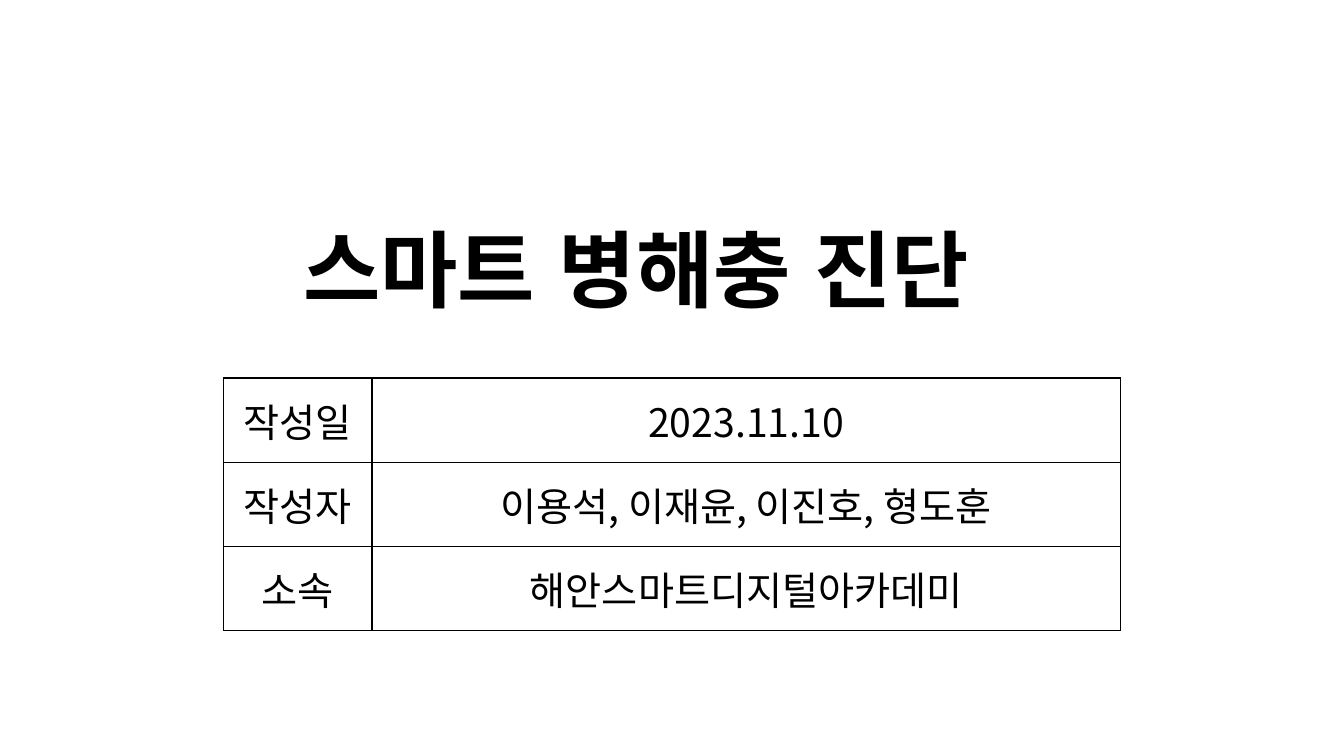
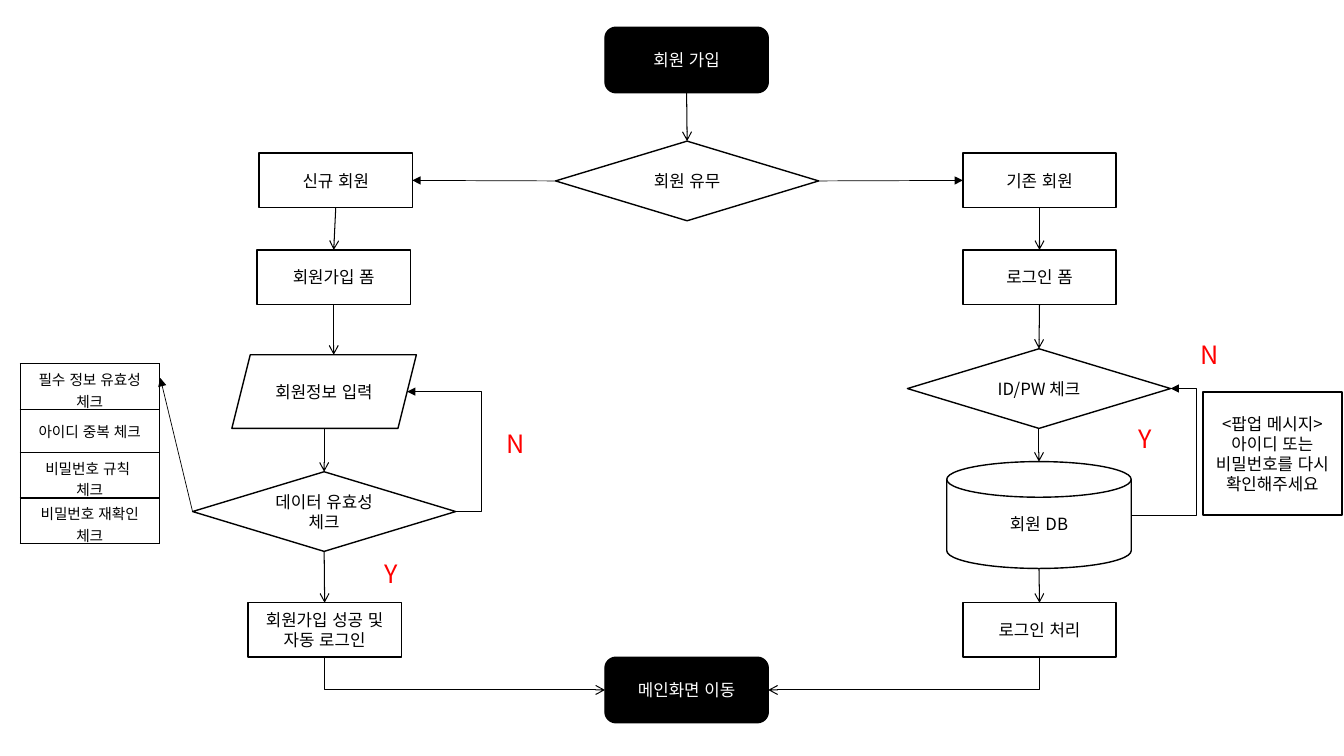
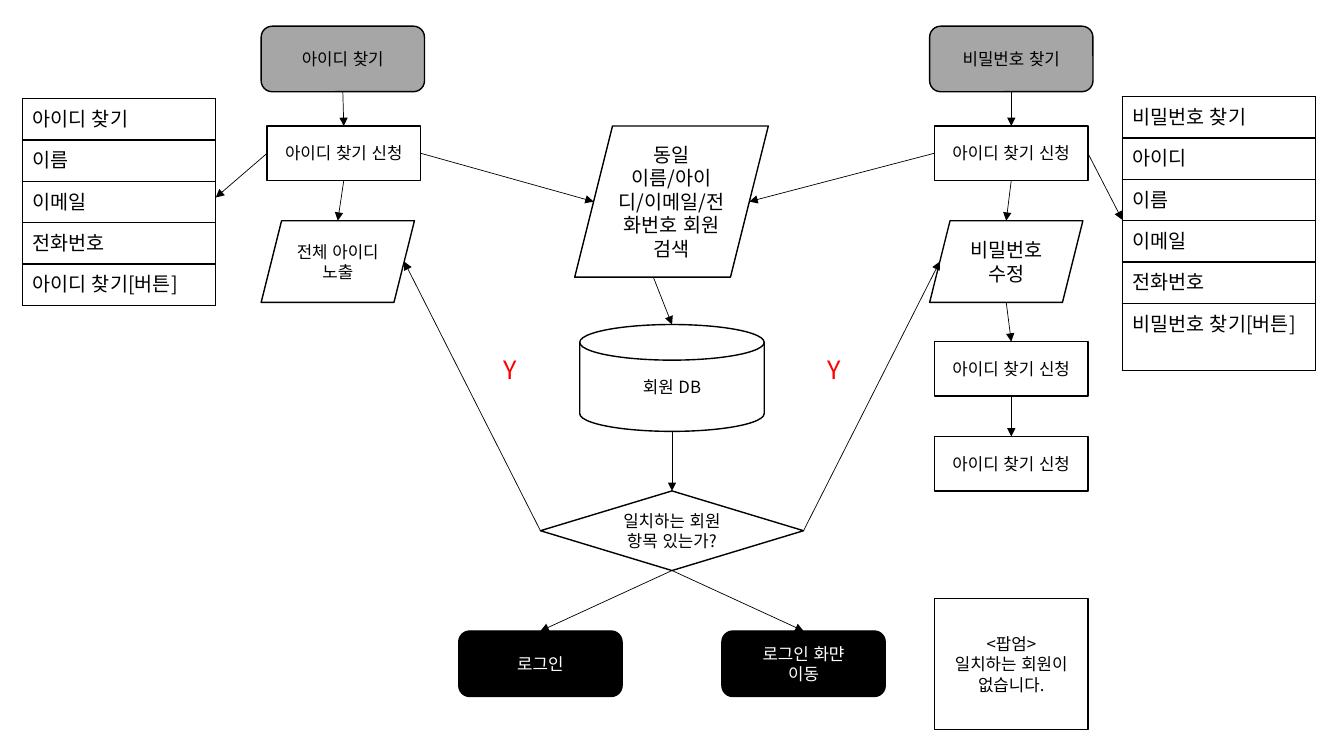
from lxml import etree
from pptx import Presentation, util as u
from pptx.dml.color import RGBColor
from pptx.enum import dml, lang, shapes, text
from pptx.oxml.ns import qn

# Shared style: 100 px to the inch
PX = 9144
FONT = "Noto Sans CJK KR"
BLACK = RGBColor(0, 0, 0)
WHITE = RGBColor(255, 255, 255)
GREY = RGBColor(0xA6, 0xA6, 0xA6)
RED = RGBColor(255, 0, 0)
KIND = shapes.MSO_SHAPE
CENTER = text.PP_ALIGN.CENTER
LEFT = text.PP_ALIGN.LEFT
SIDES = ["top", "left", "bottom", "right"]

# style: (preset, width, height, fill, text colour, outlined)
STYLES = {
    "end": (KIND.ROUNDED_RECTANGLE, 162, 65, BLACK, WHITE, True),
    "start": (KIND.ROUNDED_RECTANGLE, 162, 65, GREY, BLACK, True),
    "step": (KIND.RECTANGLE, 152, 54, WHITE, BLACK, True),
    "choice": (KIND.DIAMOND, 261, 79, WHITE, BLACK, True),
    "input": (KIND.PARALLELOGRAM, 183, 73, WHITE, BLACK, True),
    "result": (KIND.PARALLELOGRAM, 152, 81, WHITE, BLACK, True),
    "search": (KIND.PARALLELOGRAM, 192, 150, WHITE, BLACK, True),
    "store": (KIND.FLOWCHART_MAGNETIC_DISK, 183, 106, WHITE, BLACK, True),
    "notice": (KIND.RECTANGLE, 138, 122, WHITE, BLACK, True),
    "popup": (KIND.RECTANGLE, 152, 130, WHITE, BLACK, True),
    "label": (KIND.RECTANGLE, 58, 47, WHITE, RED, False),
}
# arrow: (head, line width)
OPEN = ("arrow", 0.75)
SOLID = ("triangle", 0.5)

# Cover
TITLE = "스마트 병해충 진단"
COVER_ROWS = [
    ["작성일", "2023.11.10"],
    ["작성자", "이용석, 이재윤, 이진호, 형도훈"],
    ["소속", "해안스마트디지털아카데미"],
]

# Sign-up flow: name, style, left, top, text, size
SIGNUP_NODES = [
    ("join", "end", 600, 27, "회원 가입", 12),
    ("member", "choice", 551, 140, "회원 유무", 12),
    ("new", "step", 257, 152, "신규 회원", 12),
    ("existing", "step", 955, 152, "기존 회원", 12),
    ("login form", "step", 955, 248, "로그인 폼", 12),
    ("join form", "step", 255, 248, "회원가입 폼", 12),
    ("info", "input", 230, 352, "회원정보 입력", 12),
    ("id check", "choice", 900, 346, "ID/PW 체크", 12),
    ("data check", "choice", 191, 468, "데이터 유효성 체크", 12),
    ("db", "store", 939, 458, "회원 DB", 12),
    ("login", "step", 955, 598, "로그인 처리", 12),
    ("joined", "step", 246, 598, "회원가입 성공 및 자동 로그인", 12),
    ("main", "end", 600, 652, "메인화면 이동", 12),
    ("message", "notice", 1193, 389, "<팝업 메시지>\n아이디 또는 비밀번호를 다시 확인해주세요", 12),
]
# Arrow ends are (node, side) or a plain (x, y) point
SIGNUP_ARROWS = [
    (("join", "bottom"), ("member", "top"), OPEN),
    (("new", "bottom"), ("join form", "top"), OPEN),
    (("join form", "bottom"), (331, 352), OPEN),
    (("info", "bottom"), ("data check", "top"), OPEN),
    (("data check", "bottom"), ("joined", "top"), OPEN),
    (("existing", "bottom"), ("login form", "top"), OPEN),
    (("login form", "bottom"), ("id check", "top"), OPEN),
    (("id check", "bottom"), ("db", "top"), OPEN),
    (("db", "bottom"), ("login", "top"), OPEN),
    (("data check", "left"), (159, 375), SOLID),
    (("member", "left"), ("new", "right"), SOLID),
    (("member", "right"), ("existing", "left"), SOLID),
]
SIGNUP_CORNERS = [
    (("joined", "bottom"), ("main", "left")),
    (("login", "bottom"), ("main", "right")),
]
# Loops run out to the given x and come back
SIGNUP_LOOPS = [
    (("data check", "right"), ("info", "right"), 478),
    (("db", "right"), ("id check", "right"), 1187),
]
SIGNUP_LABELS = [
    ("N1", "label", 482, 416, "N", 18),
    ("N2", "label", 1171, 328, "N", 18),
    ("Y1", "label", 1107, 411, "Y", 18),
    ("Y2", "label", 359, 545, "Y", 18),
]
CHECKS = [["필수 정보 유효성 체크"], ["아이디 중복 체크"],
          ["비밀번호 규칙 \n체크"], ["비밀번호 재확인\n체크"]]

# Recovery flow
FIND_NODES = [
    ("find id", "start", 259, 26, "아이디 찾기", 12),
    ("ask id", "step", 265, 125, "아이디 찾기 신청", 12),
    ("db", "store", 575, 322, "회원 DB", 12),
    ("show id", "result", 259, 219, "전체 아이디 노출", 12),
    ("find pw", "start", 922, 26, "비밀번호 찾기", 12),
    ("search", "search", 570, 125, "동일 이름/아이디/이메일/전화번호 회원 검색", 14),
    ("ask pw", "step", 927, 125, "아이디 찾기 신청", 12),
    ("edit pw", "result", 922, 219, "비밀번호\n수정", 14),
    ("ask 2", "step", 927, 339, "아이디 찾기 신청", 12),
    ("ask 3", "step", 927, 433, "아이디 찾기 신청", 12),
    ("match", "choice", 536, 487, "일치하는 회원\n항목 있는가?", 12),
    ("login", "end", 455, 626, "로그인", 12),
    ("login page", "end", 716, 626, "로그인 화먄\n이동", 12),
    ("none", "popup", 927, 594, "<팝엄>\n일치하는 회원이 없습니다.", 12),
]
FIND_ARROWS = [(begin, end, SOLID) for begin, end in [
    (("find id", "bottom"), ("ask id", "top")),
    (("ask id", "bottom"), ("show id", "top")),
    (("ask id", "left"), (214, 196)),
    (("match", "left"), ("show id", "right")),
    ((648, 275), ("db", "top")),
    (("db", "bottom"), ("match", "top")),
    (("ask pw", "left"), ("search", "right")),
    (("ask id", "right"), ("search", "left")),
    (("match", "right"), ("edit pw", "left")),
    (("ask pw", "bottom"), ("edit pw", "top")),
    (("find pw", "bottom"), ("ask pw", "top")),
    (("edit pw", "bottom"), ("ask 2", "top")),
    (("ask 2", "bottom"), ("ask 3", "top")),
    (("ask pw", "right"), (1113, 218)),
    (("match", "bottom"), ("login page", "top")),
    (("match", "bottom"), ("login", "top")),
]]
FIND_LABELS = [
    ("Y1", "label", 477, 343, "Y", 18),
    ("Y2", "label", 798, 343, "Y", 18),
]
ID_FIELDS = [["아이디 찾기"], ["이름"], ["이메일"], ["전화번호"], ["아이디 찾기[버튼]"]]
PW_FIELDS = [["비밀번호 찾기"], ["아이디"], ["이름"], ["이메일"], ["전화번호"],
             ["비밀번호 찾기[버튼]"]]


def px(*lengths):
    return [u.Emu(round(length * PX)) for length in lengths]


def write(frame, words, size, color, align=LEFT, bold=False):
    frame.word_wrap = True
    for i, line in enumerate(words.split("\n")):
        para = frame.paragraphs[0] if i == 0 else frame.add_paragraph()
        para.alignment = align
        span = para.add_run()
        span.text = line
        font = span.font
        font.name, font.size, font.bold = FONT, u.Pt(size), bold
        font.color.rgb = color
        font.language_id = lang.MSO_LANGUAGE_ID.KOREAN
        east = etree.SubElement(font._element, qn("a:ea"))
        east.set("typeface", FONT)


def add_nodes(page, nodes):
    boxes = {}
    for name, style, left, top, words, size in nodes:
        kind, width, height, fill, color, outlined = STYLES[style]
        box = page.shapes.add_shape(kind, *px(left, top, width, height))
        box.shadow.inherit = False
        box.fill.solid()
        box.fill.fore_color.rgb = fill
        if outlined:
            box.line.color.rgb = BLACK
            box.line.width = u.Pt(1)
        else:
            box.line.fill.background()
        box.text_frame.vertical_anchor = text.MSO_ANCHOR.MIDDLE
        write(box.text_frame, words, size, color, CENTER)
        boxes[name] = box
    return boxes


def locate(boxes, end):
    """Point in EMU for a node side or a plain point."""
    if end[0] not in boxes:
        return px(*end)
    box, side = boxes[end[0]], end[1]
    slant = 0
    if box.auto_shape_type == KIND.PARALLELOGRAM:
        slant = min(box.width, box.height) // 8
    middle_x, middle_y = box.left + box.width // 2, box.top + box.height // 2
    return {
        "top": (middle_x, box.top),
        "bottom": (middle_x, box.top + box.height),
        "left": (box.left + slant, middle_y),
        "right": (box.left + box.width - slant, middle_y),
    }[side]


def add_line(page, kind, begin, end, look):
    line = page.shapes.add_connector(kind, *begin, *end)
    head, weight = look
    line.line.color.rgb = BLACK
    line.line.width = u.Pt(weight)
    tail = etree.SubElement(line.line._get_or_add_ln(), qn("a:tailEnd"))
    tail.set("type", head)
    etree.SubElement(line._element.spPr, qn("a:effectLst"))
    return line


def add_arrows(page, boxes, arrows):
    four_sided = (KIND.RECTANGLE, KIND.ROUNDED_RECTANGLE, KIND.DIAMOND)
    for begin, end, look in arrows:
        line = add_line(page, shapes.MSO_CONNECTOR.STRAIGHT,
                        locate(boxes, begin), locate(boxes, end), look)
        for (name, side), join in ((begin, line.begin_connect), (end, line.end_connect)):
            if name in boxes and boxes[name].auto_shape_type in four_sided:
                join(boxes[name], SIDES.index(side))


def add_corner(page, begin, end):
    """One-bend arrow that goes down first, then sideways."""
    (x1, y1), (x2, y2) = begin, end
    line = add_line(page, shapes.MSO_CONNECTOR.ELBOW, begin, end, OPEN)
    across, down = abs(x2 - x1), y2 - y1
    line.left, line.top = (x1 + x2 - down) // 2, (y1 + y2 - across) // 2
    line.width, line.height = down, across
    frame = line._element.spPr.find(qn("a:xfrm"))
    frame.set("rot", str((270 if x2 > x1 else 90) * 60000))
    frame.set("flipH", "1" if x2 > x1 else "0")
    line._element.spPr.find(qn("a:prstGeom")).set("prst", "bentConnector2")


def add_loop(page, begin, end, turn):
    """Two-bend arrow whose upright part stands at x = turn."""
    line = add_line(page, shapes.MSO_CONNECTOR.ELBOW, begin, end, SOLID)
    share = (turn * PX - begin[0]) / (end[0] - begin[0])
    values = line._element.spPr.find(qn("a:prstGeom")).get_or_add_avLst()
    guide = etree.SubElement(values, qn("a:gd"))
    guide.set("name", "adj1")
    guide.set("fmla", f"val {round(share * 100000)}")


def add_grid(page, left, top, widths, row_height, rows, size, align=CENTER):
    spot = px(left, top, sum(widths), row_height * len(rows))
    grid = page.shapes.add_table(len(rows), len(widths), *spot).table
    grid.first_row = grid.horz_banding = False
    for column, width in zip(grid.columns, px(*widths)):
        column.width = width
    for r, row in enumerate(rows):
        grid.rows[r].height = px(row_height)[0]
        for c, words in enumerate(row):
            cell = grid.cell(r, c)
            cell.fill.background()
            if align == CENTER:
                cell.vertical_anchor = text.MSO_ANCHOR.MIDDLE
            write(cell.text_frame, words, size, BLACK, align)
            props = cell._tc.get_or_add_tcPr()
            for i, edge in enumerate("LRTB"):
                border = etree.Element(qn("a:ln" + edge), w=str(u.Pt(1)))
                paint = etree.SubElement(border, qn("a:solidFill"))
                etree.SubElement(paint, qn("a:srgbClr"), val=str(BLACK))
                props.insert(i, border)


def add_page(deck):
    page = deck.slides.add_slide(deck.slide_layouts[6])
    page.background.fill.solid()
    page.background.fill.fore_color.rgb = WHITE
    return page


def build_cover(deck):
    page = add_page(deck)
    title = page.shapes.add_textbox(*px(291, 211, 750, 111)).text_frame
    write(title, TITLE, 60, BLACK, bold=True)
    title.auto_size = text.MSO_AUTO_SIZE.SHAPE_TO_FIT_TEXT
    add_grid(page, 222, 375, [147, 742], 83.5, COVER_ROWS, 28)


def build_signup(deck):
    page = add_page(deck)
    boxes = add_nodes(page, SIGNUP_NODES)
    add_arrows(page, boxes, SIGNUP_ARROWS)
    for begin, end in SIGNUP_CORNERS:
        add_corner(page, locate(boxes, begin), locate(boxes, end))
    for begin, end, turn in SIGNUP_LOOPS:
        add_loop(page, locate(boxes, begin), locate(boxes, end), turn)
    add_grid(page, 20, 361, [138], 43, CHECKS, 10.5)
    add_nodes(page, SIGNUP_LABELS)


def build_find(deck):
    page = add_page(deck)
    boxes = add_nodes(page, FIND_NODES)
    add_grid(page, 22, 98, [192], 41, ID_FIELDS, 14, LEFT)
    add_grid(page, 1113, 96, [192], 41, PW_FIELDS, 14, LEFT)
    add_arrows(page, boxes, FIND_ARROWS)
    add_nodes(page, FIND_LABELS)


def main():
    deck = Presentation()
    deck.slide_width, deck.slide_height = px(1333, 750)
    build_cover(deck)
    build_signup(deck)
    build_find(deck)
    deck.save("out.pptx")


if __name__ == "__main__":
    main()
